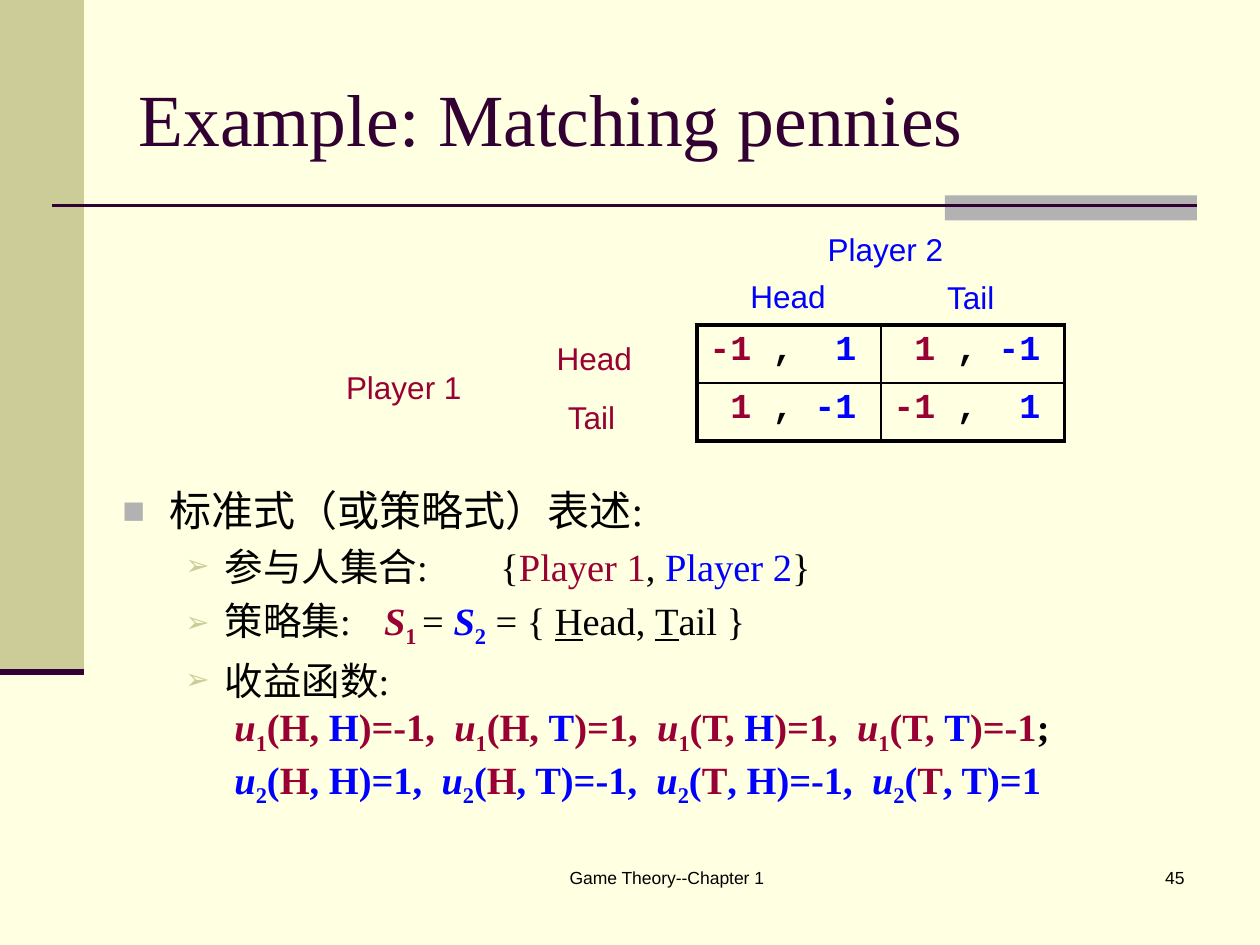
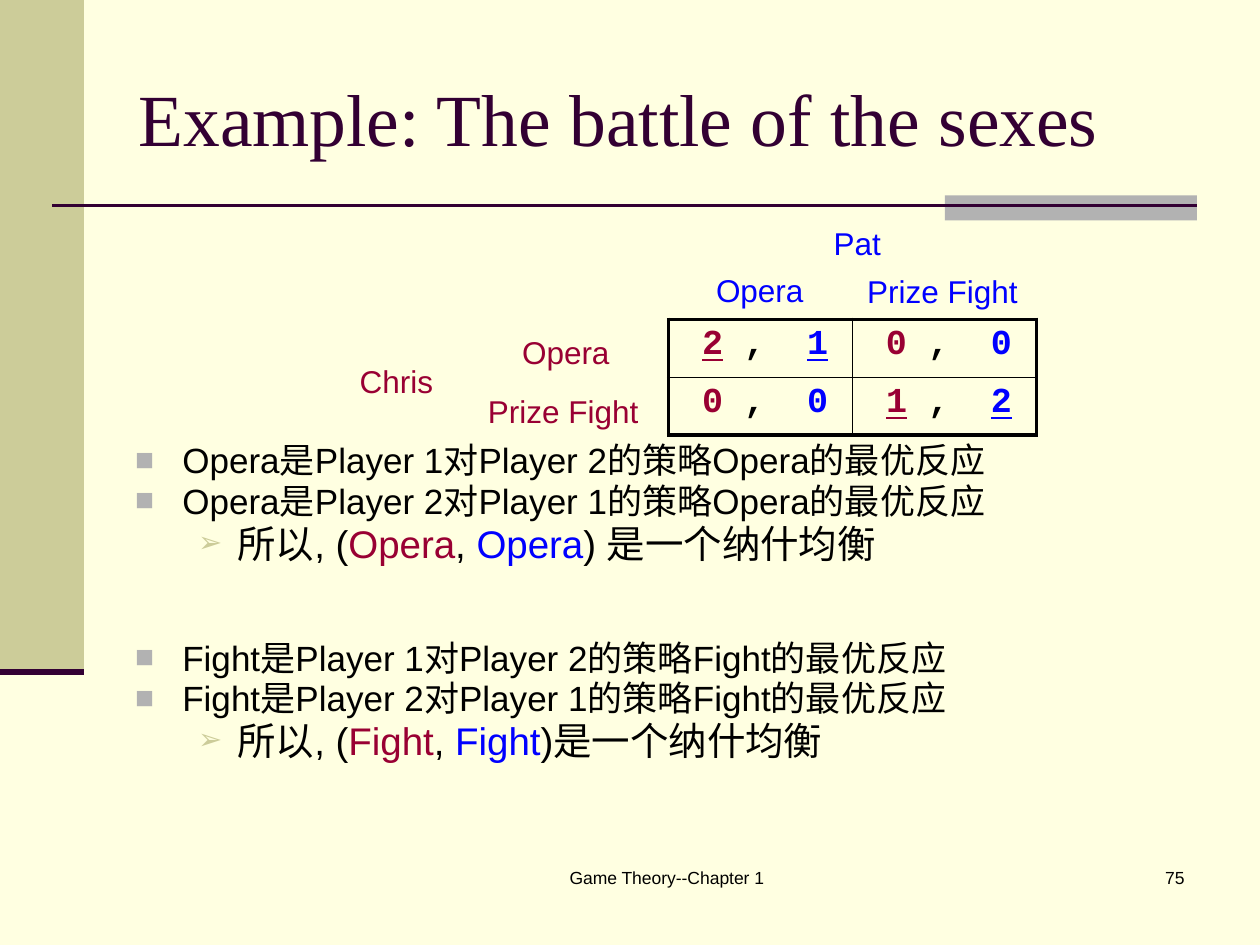
from lxml.etree import SubElement as Sub
from pptx import Presentation
from pptx.dml.color import RGBColor as Rgb
from pptx.enum.shapes import MSO_CONNECTOR as Line, MSO_SHAPE as Shape
from pptx.enum.text import MSO_ANCHOR as Anchor, MSO_AUTO_SIZE as Fit, PP_ALIGN as Align
from pptx.oxml.ns import qn
from pptx.util import Pt


class Theme:
    page, band, bar, rule = "FFFFE1", "CCCC99", "B2B2B2", "330033"
    ink, red, blue = "000000", "990033", "0000FF"
    serif, sans, mono = "Times New Roman", "Arial", "Courier New"
    title, head, point, sub, pay = 42, 24, 20, 22, 22
    cell, label, foot = 20, 18, 10


def write(para, runs, face, size):
    for text, style in runs:
        run = para.add_run()
        run.text = text
        font = run.font
        font.name, font.size = face, Pt(size)
        tone = {"r": Theme.red, "b": Theme.blue, "p": Theme.rule}.get(style[:1], Theme.ink)
        font.color.rgb = Rgb.from_string(tone)
        font.bold, font.italic, font.underline = "B" in style, "I" in style, "U" in style
        props = run._r.get_or_add_rPr()
        if "S" in style:
            props.set("baseline", "-25000")
        if "W" in style:
            props.set("spc", str(size * 25))


def label(slide, box, text, style, size, align):
    frame = slide.shapes.add_textbox(*map(Pt, box)).text_frame
    frame.word_wrap = True
    para = frame.paragraphs[0]
    para.alignment = align
    write(para, [(text, style)], Theme.sans, size)


payoffs = []
for who, own, other, values in [("1", "r", "b", "-1 1 1 -1"), ("2", "b", "r", "1 -1 -1 1")]:
    runs = []
    for pair, value in zip(["HH", "HT", "TH", "TT"], values.split()):
        runs += [("u", own + "BI"), (who, own + "BS")]
        if who == "1":
            runs += [(f"({pair[0]}, ", own + "B"), (pair[1], other + "B"), (f")={value}", own + "B")]
        else:
            runs += [("(", own + "B"), (pair[0], other + "B"), (f", {pair[1]})={value}", own + "B")]
        if pair != "TT":
            runs += [(",", own + "B"), (" ", own + "BW")]
    payoffs.append(runs)
payoffs[0].append((";", "kB"))

pennies = [
    ("head", [("标准式（或策略式）表述:", "k")]),
    ("sub", [("参与人集合:\t{", "k"), ("Player 1", "r"), (", ", "k"), ("Player 2", "b"), ("}", "k")]),
    ("sub", [("策略集:\t ", "k"), ("S", "rBI"), ("1 ", "rBS"), ("= ", "k"), ("S", "bBI"),
             ("2", "bBS"), (" = { ", "k"), ("H", "kU"), ("ead, ", "k"), ("T", "kU"), ("ail }", "k")]),
    ("sub", [("收益函数:", "k")]),
    ("pay", payoffs[0]),
    ("pay", payoffs[1]),
]

sexes = []
for move, tail in [("Opera", ") 是一个纳什均衡"), ("Fight", ")是一个纳什均衡")]:
    for one, two in ["12", "21"]:
        sexes.append(("point", [(f"{move}是Player {one}对Player {two}的策略{move}的最优反应", "k")]))
    sexes.append(("sub", [("所以, (", "k"), (move, "r"), (", ", "k"), (move, "b"), (tail, "k")]))

games = [
    dict(title="Example: Matching pennies", page="45", grid=(398.2, 185.8), names=("Player 1", "Player 2"),
         moves=("Head", "Tail"), cells=[["-1 1", "1 -1"], ["1 -1", "-1 1"]], best=False,
         body=pennies, at=(62.8, 273.4), face=Theme.serif, lead=1.0),
    dict(title="Example: The battle of the sexes", page="75", grid=(382, 182.5), names=("Chris", "Pat"),
         moves=("Opera", "Prize Fight"), cells=[["2 1", "0 0"], ["0 0", "1 2"]], best=True,
         body=sexes, at=(70, 251.6), face=Theme.sans, lead=0.8),
]

deck = Presentation()
deck.slide_width, deck.slide_height = Pt(720), Pt(540)
master = deck.slide_master
fill = master.background.fill
fill.solid()
fill.fore_color.rgb = Rgb.from_string(Theme.page)
slides = [deck.slides.add_slide(deck.slide_layouts[1]) for game in games]

shapes = slides[0].shapes
for box, tone in [((0, 0, 48, 384), Theme.band), ((540, 111.6, 144, 14.4), Theme.bar)]:
    rect = shapes.add_shape(Shape.RECTANGLE, *map(Pt, box))
    rect.shadow.inherit = False
    rect.fill.solid()
    rect.fill.fore_color.rgb = Rgb.from_string(tone)
    rect.line.fill.background()
    master.shapes._spTree.append(rect._element)
for ends, width in [((30, 117.5, 684, 117.5), 1.5), ((0, 384, 48, 384), 3.5)]:
    rule = shapes.add_connector(Line.STRAIGHT, *map(Pt, ends))
    rule.line.color.rgb = Rgb.from_string(Theme.rule)
    rule.line.width = Pt(width)
    Sub(rule._element.spPr, qn("a:effectLst"))
    master.shapes._spTree.append(rule._element)

for slide, game in zip(slides, games):
    title, body = slide.placeholders
    title.left, title.top, title.width, title.height = map(Pt, (72, 22, 612, 90))
    frame = title.text_frame
    frame.vertical_anchor = Anchor.MIDDLE
    frame.auto_size = Fit.NONE
    para = frame.paragraphs[0]
    para.alignment = Align.LEFT
    write(para, [(game["title"], "p")], Theme.serif, Theme.title)

    body.left, body.top, body.width, body.height = map(Pt, (*game["at"], 606.2, 198))
    frame = body.text_frame
    frame.auto_size = Fit.NONE
    for i, (kind, runs) in enumerate(game["body"]):
        para = frame.add_paragraph() if i else frame.paragraphs[0]
        para.level = int(kind in ("sub", "pay"))
        props = para._p.get_or_add_pPr()
        props.set("defTabSz", str(Pt(72)))
        if kind == "pay":
            props.set("marL", str(Pt(64)))
            props.set("indent", "0")
            Sub(props, qn("a:buNone"))
            para.space_before = Pt(0)
        else:
            left, hang, tone, scale, mark = (
                (58.5, 22.5, Theme.band, 75, "➢") if kind == "sub" else (27, 27, Theme.bar, 90, "■"))
            props.set("marL", str(Pt(left)))
            props.set("indent", str(-Pt(hang)))
            Sub(Sub(props, qn("a:buClr")), qn("a:srgbClr"), val=tone)
            Sub(props, qn("a:buSzPct"), val=str(scale * 1000))
            Sub(props, qn("a:buFont"), typeface=Theme.sans)
            Sub(props, qn("a:buChar"), char=mark)
        para.line_spacing = game["lead"]
        if i == 0:
            para.space_before = Pt(0)
        elif kind == "point" and game["body"][i - 1][0] == "sub":
            para.space_before = Pt(45)
        write(para, runs, game["face"], getattr(Theme, kind))

    x, y = game["grid"]
    table = slide.shapes.add_table(2, 2, Pt(x), Pt(y), Pt(210.2), Pt(66.2)).table
    table.first_row = table.horz_banding = False
    for r in range(2):
        table.rows[r].height, table.columns[r].width = Pt(33.1), Pt(105.1)
        for c in range(2):
            cell = table.cell(r, c)
            props = cell._tc.get_or_add_tcPr()
            for side, outer in [("L", c == 0), ("R", c == 1), ("T", r == 0), ("B", r == 1)]:
                edge = Sub(props, qn(f"a:ln{side}"), w=str(Pt(2.25 if outer else 1)))
                Sub(Sub(edge, qn("a:solidFill")), qn("a:srgbClr"), val=Theme.ink)
            cell.fill.background()
            para = cell.text_frame.paragraphs[0]
            tabs = Sub(para._p.get_or_add_pPr(), qn("a:tabLst"))
            Sub(tabs, qn("a:tab"), pos=str(Pt(84)), algn="r")
            one, two = game["cells"][r][c].split()
            line = "U" if game["best"] and r == c else ""
            pad = [] if one.startswith("-") else [(" ", "rB")]
            write(para, pad + [(one, "rB" + line), (" ", "rB"), (",\t", "kB"), (two, "bB" + line)],
                  Theme.mono, Theme.cell)

    (row, col), (first, second) = game["names"], game["moves"]
    for text, style, dx, dy, width, align in [
        (row, "r", -234.7, 20.9, 107.3, Align.RIGHT),
        (col, "b", 54.5, -57.8, 106.6, Align.CENTER),
        (first, "b", 1.4, -31, 101.5, Align.CENTER),
        (second, "b", 105.8, -30.5, 101.5, Align.CENTER),
        (first, "r", -112.3, 4.3, 107.3, Align.CENTER),
        (second, "r", -113.8, 38.2, 107.3, Align.CENTER),
    ]:
        label(slide, (x + dx, y + dy, width, 28.8), text, style, Theme.label, align)
    label(slide, (264, 492, 234, 36), "Game Theory--Chapter 1", "k", Theme.foot, Align.CENTER)
    label(slide, (534, 492, 150, 36), game["page"], "k", Theme.foot, Align.RIGHT)

deck.save("out.pptx")
